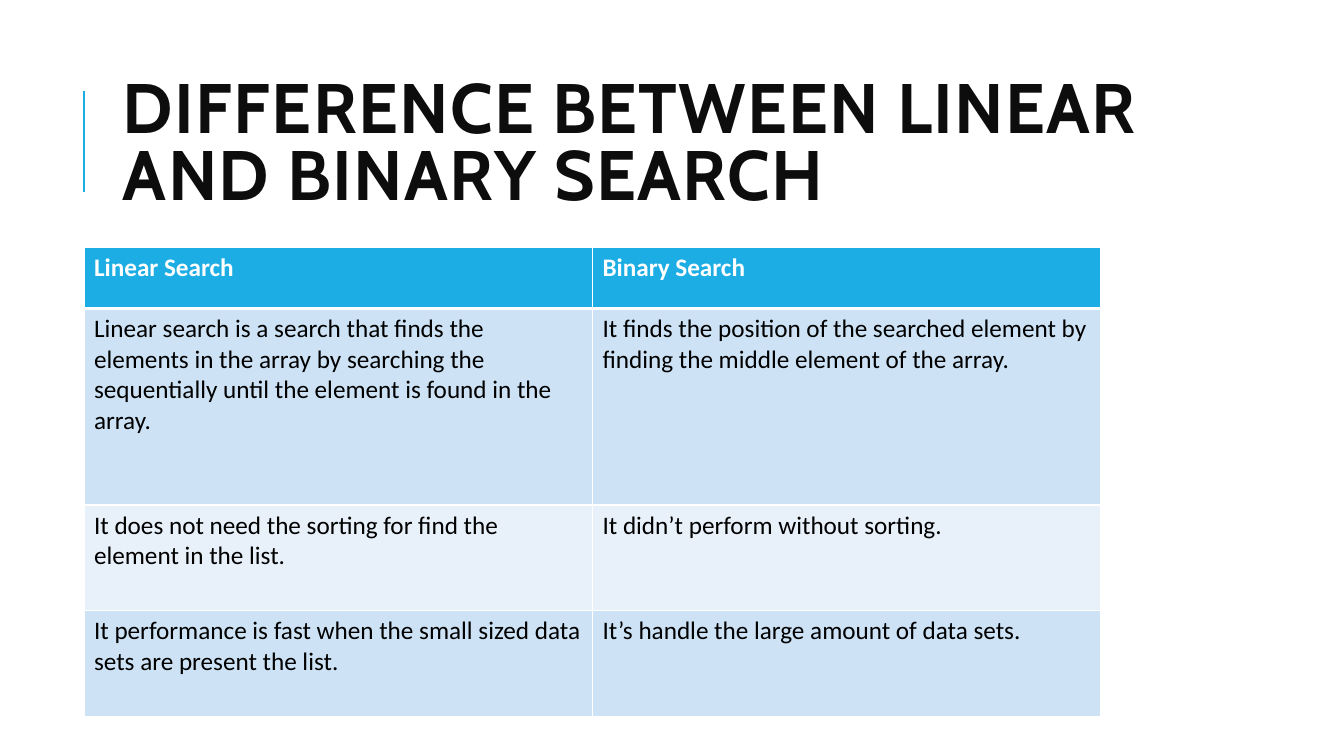
"""Build a slide that compares linear and binary search in a table."""
from typing import NamedTuple

from lxml.etree import SubElement
from pptx import Presentation
from pptx.dml.color import RGBColor
from pptx.enum.shapes import MSO_CONNECTOR
from pptx.enum.text import MSO_ANCHOR, MSO_AUTO_SIZE, PP_ALIGN
from pptx.oxml.ns import qn
from pptx.util import Pt

ACCENT, WHITE, BLACK, INK = "1CADE4", "FFFFFF", "000000", "0D0D0D"
BANDS = ("CDE3F5", "E8F1FA")
LEFT = 60
COL_WIDTH = 363.24
TABLE_TOP = 176.4
THIN, THICK = 1, 3


class Row(NamedTuple):
    linear: str
    binary: str
    height: float


ROWS = (
    Row("Linear Search", "Binary Search", 43.92),
    Row("Linear search is a search that finds the elements in the array by "
        "searching the sequentially until the element is found in the array.",
        "It finds the position of the searched element by finding the middle "
        "element of the array.", 140.4),
    Row("It does not need the sorting for find the element in the list.",
        "It didn’t perform without sorting.", 75.6),
    Row("It performance is fast when the small sized data sets are present "
        "the list.", "It’s handle the large amount of data sets.", 75.6),
)


def rgb(color: str) -> RGBColor:
    return RGBColor.from_string(color)


def write(tf, text: str, *, font: str = "Calibri", size: float = 18,
          color: str = BLACK, bold: bool = False, spacing: float = 0,
          line_spacing: float = 1.0) -> None:
    p = tf.paragraphs[0]
    p.alignment = PP_ALIGN.LEFT
    p.line_spacing = line_spacing
    r = p.add_run()
    r.text = text
    r.font.name, r.font.size, r.font.bold = font, Pt(size), bold
    r.font.color.rgb = rgb(color)
    if spacing:
        r._r.get_or_add_rPr().set("spc", str(round(spacing * 100)))


def add_border(cell, side: str, width: float) -> None:
    ln = SubElement(cell._tc.get_or_add_tcPr(), qn(f"a:ln{side}"), w=str(Pt(width)))
    fill = SubElement(ln, qn("a:solidFill"))
    SubElement(fill, qn("a:srgbClr"), val=WHITE)


def add_title(s) -> None:
    sp = s.shapes.title
    sp.left, sp.top, sp.width, sp.height = Pt(80.64), Pt(46.08), Pt(765.36), Pt(118.08)
    tf = sp.text_frame
    tf.word_wrap = True
    tf.auto_size = MSO_AUTO_SIZE.NONE
    tf.vertical_anchor = MSO_ANCHOR.MIDDLE
    write(tf, "DIFFERENCE BETWEEN LINEAR AND BINARY SEARCH", font="Cabin",
          size=50, color=INK, bold=True, spacing=1, line_spacing=0.8)


def add_accent_line(s) -> None:
    line = s.shapes.add_connector(MSO_CONNECTOR.STRAIGHT, Pt(LEFT), Pt(136.8),
                                  Pt(LEFT), Pt(64.8))
    line.line.color.rgb = rgb(ACCENT)
    line.line.width = Pt(1.5)
    SubElement(line._element.spPr, qn("a:effectLst"))


def add_comparison(s) -> None:
    height = sum(row.height for row in ROWS)
    table = s.shapes.add_table(len(ROWS), 2, Pt(LEFT), Pt(TABLE_TOP),
                               Pt(2 * COL_WIDTH), Pt(height)).table
    for col in table.columns:
        col.width = Pt(COL_WIDTH)
    for i, row in enumerate(ROWS):
        table.rows[i].height = Pt(row.height)
        header = i == 0
        widths = {"L": THIN, "R": THIN, "T": THICK if i == 1 else THIN,
                  "B": THICK if header else THIN}
        for j, text in enumerate((row.linear, row.binary)):
            cell = table.cell(i, j)
            for side, width in widths.items():
                add_border(cell, side, width)
            cell.fill.solid()
            cell.fill.fore_color.rgb = rgb(ACCENT if header else BANDS[(i - 1) % 2])
            write(cell.text_frame, text, color=WHITE if header else BLACK, bold=header)


def main() -> None:
    prs = Presentation()
    prs.slide_width, prs.slide_height = Pt(960), Pt(540)
    s = prs.slides.add_slide(prs.slide_layouts[5])
    add_accent_line(s)
    add_title(s)
    add_comparison(s)
    prs.save("out.pptx")


main()
